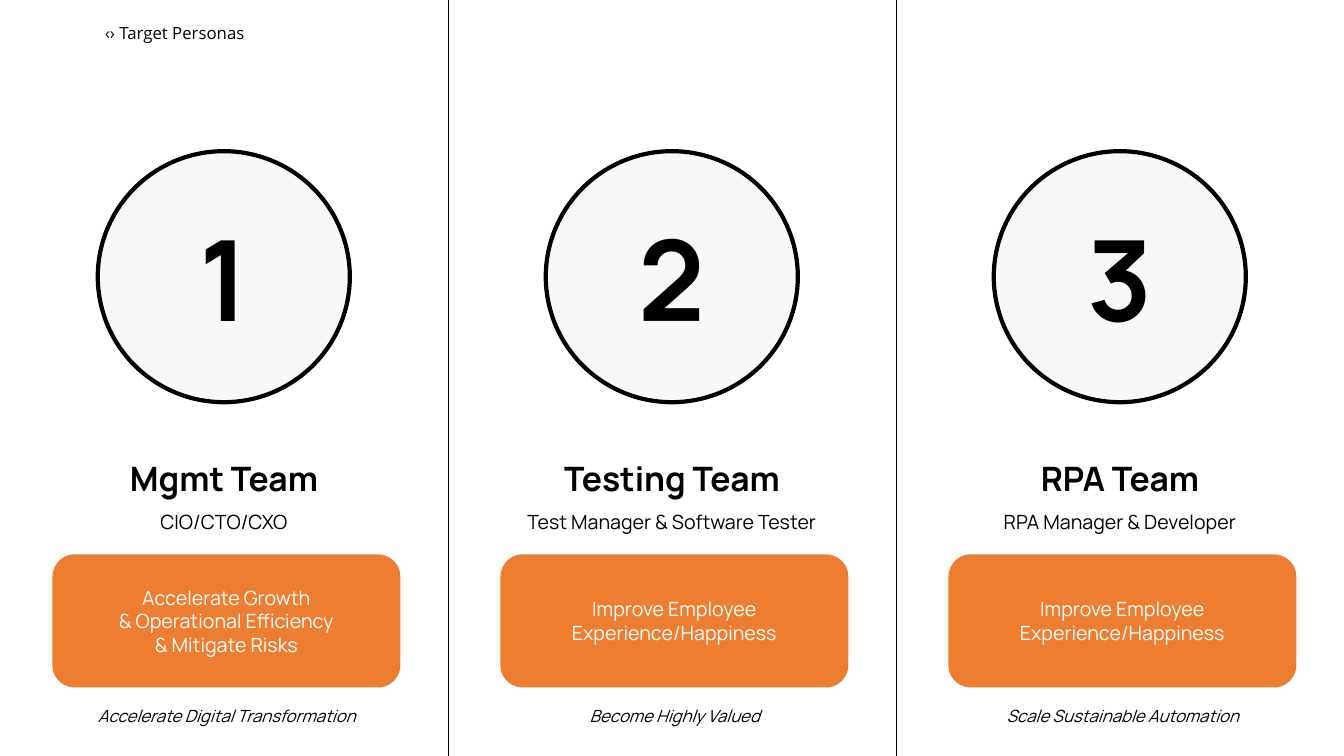
import pptx
import pptx.util
import pptx.dml.color
import pptx.enum.shapes
import pptx.enum.text
import pptx.oxml.ns
import lxml.etree

Inches = pptx.util.Inches
RGBColor = pptx.dml.color.RGBColor
SHAPES = pptx.enum.shapes.MSO_SHAPE
ALIGN = pptx.enum.text.PP_ALIGN
ANCHOR = pptx.enum.text.MSO_ANCHOR

BLACK = RGBColor(0x00, 0x00, 0x00)
WHITE = RGBColor(0xFF, 0xFF, 0xFF)
PALE_GREY = RGBColor(0xF2, 0xF2, 0xF2)
ORANGE = RGBColor(0xED, 0x7D, 0x31)

SLIDE_WIDTH, SLIDE_HEIGHT = 13.33, 7.5
COLUMN_WIDTH = SLIDE_WIDTH / 3

PERSONAS = [
    ("Mgmt Team", "CIO/CTO/CXO",
     ["Accelerate Growth", "& Operational Efficiency", "& Mitigate Risks"],
     "Accelerate Digital Transformation"),
    ("Testing Team", "Test Manager & Software Tester",
     ["Improve Employee Experience/Happiness"], "Become Highly Valued"),
    ("RPA Team", "RPA Manager & Developer",
     ["Improve Employee Experience/Happiness"], "Scale Sustainable Automation"),
]


def write(paragraph, text, size, font="Manrope", color=BLACK, bold=False,
          italic=False, align=ALIGN.CENTER, spacing=None):
    paragraph.alignment = align
    if spacing:
        paragraph.line_spacing = spacing
    run = paragraph.add_run()
    run.text = text
    run.font.name = font
    run.font.size = pptx.util.Pt(size)
    run.font.bold = bold
    run.font.italic = italic
    run.font.color.rgb = color


def set_margins(frame, left, top, right, bottom):
    frame.margin_left, frame.margin_top = Inches(left), Inches(top)
    frame.margin_right, frame.margin_bottom = Inches(right), Inches(bottom)


class PersonaSlide:
    def __init__(self, presentation):
        self.slide = presentation.slides.add_slide(presentation.slide_layouts[5])
        self.shapes = self.slide.shapes

    def title(self, text):
        heading = self.shapes.title
        heading.left, heading.top = Inches(1), Inches(0.13)
        heading.width, heading.height = Inches(12.33), Inches(0.4)
        frame = heading.text_frame
        frame.auto_size = pptx.enum.text.MSO_AUTO_SIZE.NONE
        frame.vertical_anchor = ANCHOR.MIDDLE
        set_margins(frame, 0.04, 0.05, 0.31, 0.05)
        write(frame.paragraphs[0], text, 12, font="Open Sans", align=ALIGN.LEFT)

    def shape(self, kind, left, top, width, height, fill):
        """Add a filled shape without outline or shadow."""
        shape = self.shapes.add_shape(
            kind, Inches(left), Inches(top), Inches(width), Inches(height))
        shape.shadow.inherit = False
        shape.fill.solid()
        shape.fill.fore_color.rgb = fill
        shape.line.fill.background()
        shape.text_frame.word_wrap = True
        shape.text_frame.vertical_anchor = ANCHOR.MIDDLE
        return shape

    def text_box(self, left, top, width, height, anchor=ANCHOR.TOP):
        box = self.shapes.add_textbox(
            Inches(left), Inches(top), Inches(width), Inches(height))
        box.text_frame.word_wrap = True
        box.text_frame.vertical_anchor = anchor
        return box.text_frame

    def divider(self, x):
        line = self.shapes.add_connector(
            pptx.enum.shapes.MSO_CONNECTOR.STRAIGHT,
            Inches(x), Inches(0), Inches(x), Inches(SLIDE_HEIGHT))
        line.line.color.rgb = BLACK
        line.line.width = pptx.util.Pt(0.5)
        properties = line._element.spPr
        lxml.etree.SubElement(properties, pptx.oxml.ns.qn("a:effectLst"))

    def number_circle(self, left, number):
        circle = self.shape(SHAPES.OVAL, left + 0.97, 1.5, 2.5, 2.49, PALE_GREY)
        color = circle._element.spPr.find(".//" + pptx.oxml.ns.qn("a:srgbClr"))
        lxml.etree.SubElement(color, pptx.oxml.ns.qn("a:alpha"), val="50000")
        circle.line.color.rgb = BLACK
        circle.line.width = pptx.util.Pt(3)
        set_margins(circle.text_frame, 0, 0, 0, 0)
        write(circle.text_frame.paragraphs[0], str(number), 80, bold=True)

    def persona(self, left, number, team, roles, benefits, goal):
        self.number_circle(left, number)

        heading = self.text_box(left, 4.29, COLUMN_WIDTH, 1.03)
        write(heading.paragraphs[0], team, 24, bold=True, spacing=1.5)
        write(heading.add_paragraph(), roles, 14, spacing=1.5)

        card = self.shape(SHAPES.ROUNDED_RECTANGLE, left + 0.52, 5.5, 3.45, 1.32, ORANGE)
        for index, benefit in enumerate(benefits):
            frame = card.text_frame
            paragraph = frame.add_paragraph() if index else frame.paragraphs[0]
            write(paragraph, benefit, 14, color=WHITE)

        caption = self.text_box(left + 0.19, 6.82, 4.12, 0.57, ANCHOR.MIDDLE)
        write(caption.paragraphs[0], goal, 12, italic=True)


def main():
    presentation = pptx.Presentation()
    presentation.slide_width = Inches(SLIDE_WIDTH)
    presentation.slide_height = Inches(SLIDE_HEIGHT)
    page = PersonaSlide(presentation)
    page.title("‹› Target Personas")
    for column, persona in enumerate(PERSONAS):
        left = column * COLUMN_WIDTH
        if column:
            page.shape(SHAPES.RECTANGLE, left, 0, COLUMN_WIDTH, SLIDE_HEIGHT, WHITE)
            page.divider(left)
        page.persona(left, column + 1, *persona)
    presentation.save("out.pptx")


if __name__ == "__main__":
    main()
